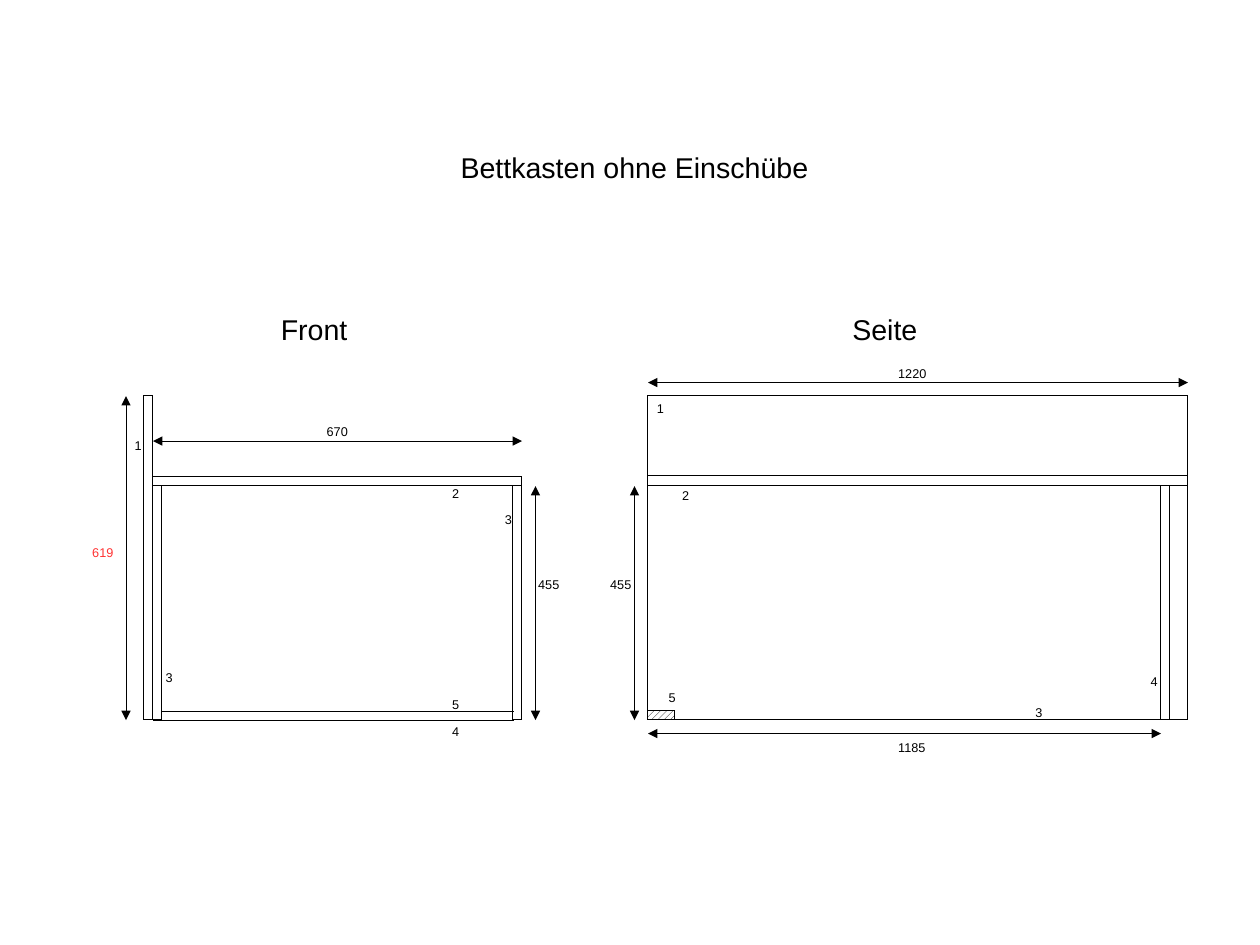
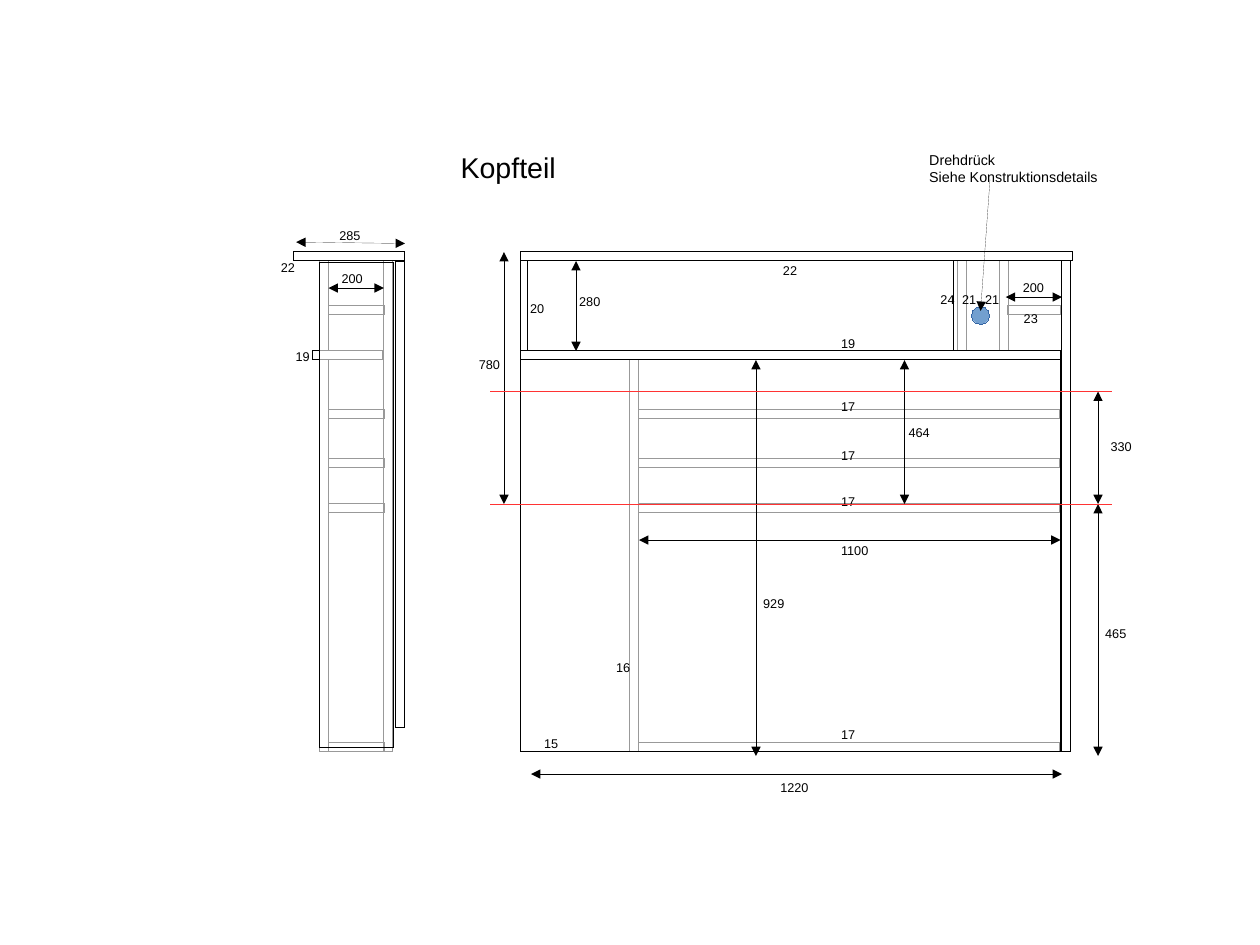
from typing import NamedTuple

from pptx import Presentation
from pptx.dml.color import RGBColor
from pptx.enum.dml import MSO_PATTERN
from pptx.enum.shapes import MSO_CONNECTOR, MSO_SHAPE
from pptx.enum.text import MSO_ANCHOR, MSO_AUTO_SIZE, PP_ALIGN
from pptx.oxml.ns import qn
from pptx.oxml.xmlchemy import OxmlElement
from pptx.util import Mm, Pt

# The drawing grid has square cells of one millimetre.
GRID_COLS, GRID_ROWS = 280, 210
BOARD = 2
FONT = "Arial"
TITLE_COL, TITLE_ROW = 99.8, 32
HEADING_SIZE, LABEL_SIZE, NOTE_SIZE = 18, 8, 9
HEADING_ROWS, LABEL_ROWS = 9.7, 5.8
# A width of exactly zero is dropped on saving, and the theme's would apply.
HAIRLINE = Pt(0.01)
TITLE_ONLY = 5
COLORS = {"ink": "000000", "paper": "FFFFFF", "hidden": "999999",
          "red": "FF3333", "knob": "729FCF", "knob_edge": "3465A4"}


class Panel(NamedTuple):
    col: float
    row: float
    cols: float
    rows: float
    color: str = "ink"


class Stroke(NamedTuple):
    col: float
    row: float
    end_col: float
    end_row: float
    color: str = "ink"


class Label(NamedTuple):
    text: str
    col: float
    row: float
    color: str = "ink"


def rgb(name: str) -> RGBColor:
    return RGBColor.from_string(COLORS[name])


def draw_panel(slide, panel: Panel, kind=MSO_SHAPE.RECTANGLE):
    """Draw an unfilled hairline outline and return its shape."""
    shape = slide.shapes.add_shape(kind, *(Mm(cells) for cells in panel[:4]))
    shape.shadow.inherit = False
    shape.fill.background()
    shape.line.color.rgb = rgb(panel.color)
    shape.line.width = HAIRLINE
    return shape


def draw_stroke(slide, stroke: Stroke, arrow_ends: tuple[str, ...] = ()) -> None:
    """Draw a hairline; arrow_ends lists headEnd and/or tailEnd, in that order."""
    connector = slide.shapes.add_connector(
        MSO_CONNECTOR.STRAIGHT, *(Mm(cells) for cells in stroke[:4]))
    connector.line.color.rgb = rgb(stroke.color)
    connector.line.width = HAIRLINE
    properties = connector._element.spPr
    outline = properties.find(qn("a:ln"))
    for end in arrow_ends:
        arrow = OxmlElement(f"a:{end}")
        arrow.set("type", "triangle")
        outline.append(arrow)
    properties.append(OxmlElement("a:effectLst"))


def style_text(frame, text: str, size: float, color: str = "ink") -> None:
    frame.text = text
    frame.word_wrap = True
    frame.auto_size = MSO_AUTO_SIZE.SHAPE_TO_FIT_TEXT
    frame.vertical_anchor = MSO_ANCHOR.TOP
    for paragraph in frame.paragraphs:
        paragraph.alignment = PP_ALIGN.LEFT
        for run in paragraph.runs:
            run.font.name = FONT
            run.font.size = Pt(size)
            run.font.color.rgb = rgb(color)


def draw_text(slide, label: Label, cols: float, rows: float, size: float) -> None:
    box = slide.shapes.add_textbox(Mm(label.col), Mm(label.row), Mm(cols), Mm(rows))
    style_text(box.text_frame, label.text, size, label.color)


def draw_labels(slide, labels: list[Label]) -> None:
    """Draw part numbers and measures in boxes as wide as their digits."""
    for label in labels:
        draw_text(slide, label, 6 + 1.6 * len(label.text), LABEL_ROWS, LABEL_SIZE)


def add_drawing(deck, title: str, title_cols: float, panels: list[Panel],
                measures: list[Stroke], labels: list[Label]):
    slide = deck.slides.add_slide(deck.slide_layouts[TITLE_ONLY])
    heading = slide.shapes.title
    heading.left, heading.top = Mm(TITLE_COL), Mm(TITLE_ROW)
    heading.width, heading.height = Mm(title_cols), Mm(HEADING_ROWS)
    style_text(heading.text_frame, title, HEADING_SIZE)
    for panel in panels:
        draw_panel(slide, panel)
    for measure in measures:
        draw_stroke(slide, measure, ("headEnd", "tailEnd"))
    draw_labels(slide, labels)
    return slide


def add_bed_box(deck) -> None:
    top, seat, floor = 88, 108, 160
    front, side = 34, 144
    legs = [Panel(col, seat, BOARD, floor - seat) for col in (front, 114, 258)]
    panels = legs + [
        Panel(front - BOARD, top, BOARD, floor - top),
        Panel(front, seat - BOARD, 82, BOARD),
        Panel(side, top, 120, floor - top),
        Panel(side, 105.7, 120, 2.3),
    ]
    measures = [
        Stroke(front, 98, 116, 98),
        Stroke(28, floor, 28, top),
        Stroke(119, floor, 119, seat),
        Stroke(141, floor, 141, seat),
        Stroke(side, 85, 264, 85),
        Stroke(side, 163, 258, 163),
    ]
    labels = [
        Label("670", 70.1, 93), Label("619", 18, 119.9, "red"),
        Label("455", 117.1, 127), Label("455", 133.1, 127),
        Label("1220", 197.1, 80), Label("1185", 197.1, 163.1),
        Label("1", 27.4, 96), Label("2", 98, 106.7), Label("3", 109.7, 112.5),
        Label("3", 34.3, 147.6), Label("4", 98, 159.5), Label("5", 98, 153.7),
        Label("1", 143.5, 87.9), Label("2", 149.1, 107.2),
        Label("3", 227.6, 155.4), Label("4", 253.2, 148.6),
        Label("5", 146.1, 152.1),
    ]
    slide = add_drawing(deck, "Bettkasten ohne Einschübe", 84,
                        panels, measures, labels)
    draw_stroke(slide, Stroke(front, floor, 114, floor))
    draw_stroke(slide, Stroke(front + BOARD, floor - BOARD, 114, floor - BOARD))
    for view in (Label("Front", 59.9, 68.1), Label("Seite", 186.9, 68.1)):
        draw_text(slide, view, 21.5, HEADING_ROWS, HEADING_SIZE)

    batten = draw_panel(slide, Panel(side, floor - BOARD, 6, BOARD))
    batten.fill.patterned()
    batten.fill.pattern = MSO_PATTERN.WIDE_UPWARD_DIAGONAL
    batten.fill.fore_color.rgb = rgb("ink")
    batten.fill.back_color.rgb = rgb("paper")


def add_headboard(deck) -> None:
    lid, box_top, box_floor, body, mattress, base = 56, 58, 78, 80, 112, 168
    body_rows, box_rows = 87, box_floor - box_top
    post_rows = body_rows + box_rows + BOARD
    front, right = 115.6, 236
    shelf_rows = (91, 102, mattress, 165)
    side_shelves = [Panel(73, row, 12.4, BOARD, "hidden") for row in (68, *shelf_rows)]
    front_shelves = [Panel(142, row, 93.5, BOARD, "hidden") for row in shelf_rows]
    dividers = [Panel(col, box_top, BOARD, box_rows, "hidden")
                for col in (71, 212.7, 222.1)]
    posts = [Panel(col, body, BOARD, body_rows, "hidden") for col in (71, 140)]
    panels = side_shelves + front_shelves + dividers + posts + [
        Panel(85.3, box_top, BOARD, post_rows, "hidden"),
        Panel(71, box_floor, 14, BOARD, "hidden"),
        Panel(224, 68, 11.7, BOARD, "hidden"),
        Panel(65.2, lid, 24.7, BOARD),
        Panel(71.1, 58.4, 16.3, 107.7),
        Panel(69.5, box_floor, 1.6, BOARD),
        Panel(87.9, 58.2, BOARD, 103.4),
        Panel(front, lid, 122.7, BOARD),
        Panel(front, box_top, 1.6, box_rows),
        Panel(front, box_floor, 120, BOARD),
        Panel(front, body, 120, body_rows),
        Panel(212, box_top, 24, box_rows),
        Panel(right, box_top, BOARD, post_rows),
    ]
    measures = [
        Stroke(118, 172, right, 172),
        Stroke(244, base, 244, mattress),
        Stroke(244, mattress, 244, 87),
        Stroke(112, mattress, 112, lid),
        Stroke(128, box_floor, 128, box_top),
        Stroke(201, mattress, 201, body),
        Stroke(168, base, 168, body),
        Stroke(85.3, 64, 73, 64),
        Stroke(right, 66, 223.5, 66),
        Stroke(235.7, 120, 142, 120),
        Stroke(90, 54.1, 65.8, 53.8),
    ]
    shelf_labels = [Label("17", 184.4, row) for row in (87.4, 98.3, 108.5, 160.3)]
    labels = shelf_labels + [
        Label("1220", 170.9, 172), Label("465", 243.1, 137.9),
        Label("330", 244.3, 96.3), Label("780", 103.9, 78),
        Label("280", 126.2, 64), Label("464", 199.4, 93.2),
        Label("200", 73.4, 58.9), Label("200", 224.8, 61),
        Label("929", 167.1, 131.1), Label("1100", 184.4, 119.4),
        Label("285", 72.9, 49.3), Label("15", 118.4, 162.3),
        Label("16", 134.4, 145.3), Label("19", 184.4, 73.4),
        Label("19", 63.2, 76.2), Label("20", 115.3, 65.5),
        Label("21", 216.4, 63.5), Label("21", 211.3, 63.5),
        Label("24", 206.5, 63.5), Label("22", 171.5, 57.2),
        Label("22", 59.9, 56.4), Label("23", 225, 67.8),
    ]
    slide = add_drawing(deck, "Kopfteil", 28, panels, measures, labels)
    for level in (87, mattress):
        draw_stroke(slide, Stroke(109, level, 247, level, "red"))

    knob = draw_panel(slide, Panel(215.9, 68.1, 4, 4, "knob_edge"), MSO_SHAPE.OVAL)
    knob.fill.solid()
    knob.fill.fore_color.rgb = rgb("knob")
    draw_stroke(slide, Stroke(220, 39.9, 217.9, 69.1), ("tailEnd",))
    knob_note = Label("Drehdrück\nSiehe Konstruktionsdetails", 204, 32.3)
    draw_text(slide, knob_note, 44, HEADING_ROWS, NOTE_SIZE)


def main() -> None:
    deck = Presentation()
    deck.slide_width, deck.slide_height = Mm(GRID_COLS), Mm(GRID_ROWS)
    add_bed_box(deck)
    add_headboard(deck)
    deck.save("out.pptx")


if __name__ == "__main__":
    main()
